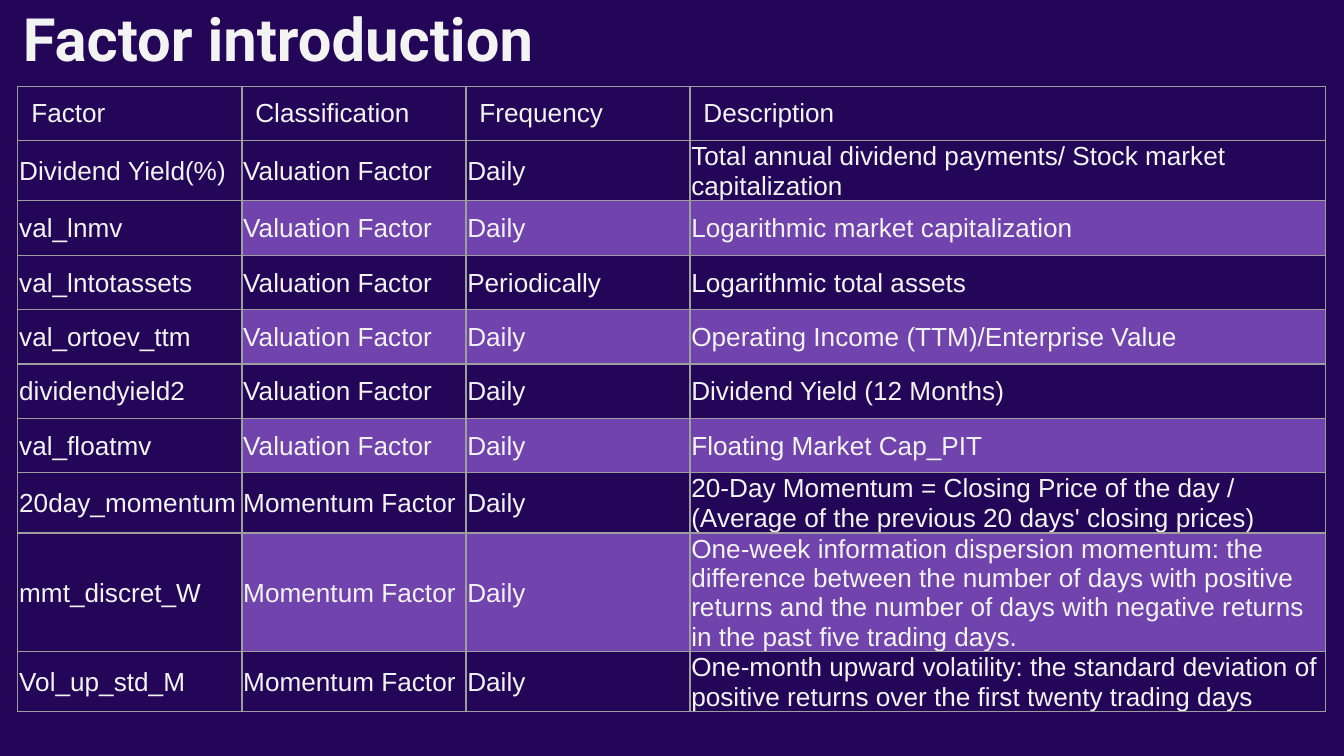
from typing import NamedTuple, Optional

from lxml import etree
from pptx import Presentation
from pptx.dml.color import RGBColor
from pptx.enum.text import MSO_ANCHOR
from pptx.oxml.ns import qn
from pptx.util import Inches, Pt

TOP = MSO_ANCHOR.TOP
MIDDLE = MSO_ANCHOR.MIDDLE

NAVY = RGBColor(0x24, 0x06, 0x59)
PURPLE = RGBColor(0x70, 0x43, 0xAD)
GREY = RGBColor(0x9E, 0x9E, 0x9E)
WHITE = RGBColor(0xF3, 0xF3, 0xF3)

WIDTH = Inches(10)
HEIGHT = WIDTH * 9 // 16
COLUMN_SHARES = (16.67, 16.67, 16.67, 47.3)
ROW_SHARE = 7.2
BORDER = Pt(0.75)


class Factor(NamedTuple):
    name: str
    classification: str
    frequency: str
    description: str


class Insets(NamedTuple):
    left: float
    top: float
    right: float
    bottom: float


HEADER_INSETS = Insets(0.1, 0.07, 0.1, 0.07)
BODY_INSETS = Insets(0.01, 0.01, 0.01, 0)

HEADER = Factor("Factor", "Classification", "Frequency", "Description")
VALUATION = "Valuation Factor"
MOMENTUM = "Momentum Factor"
FACTORS = [
    Factor("Dividend Yield(%)", VALUATION, "Daily",
           "Total annual dividend payments/ Stock market capitalization"),
    Factor("val_lnmv", VALUATION, "Daily", "Logarithmic market capitalization"),
    Factor("val_lntotassets", VALUATION, "Periodically", "Logarithmic total assets"),
    Factor("val_ortoev_ttm", VALUATION, "Daily",
           "Operating Income (TTM)/Enterprise Value"),
    Factor("dividendyield2", VALUATION, "Daily", "Dividend Yield (12 Months)"),
    Factor("val_floatmv", VALUATION, "Daily", "Floating Market Cap_PIT"),
    Factor("20day_momentum", MOMENTUM, "Daily",
           "20-Day Momentum = Closing Price of the day / "
           "(Average of the previous 20 days' closing prices)"),
    Factor("mmt_discret_W", MOMENTUM, "Daily",
           "One-week information dispersion momentum: the difference between "
           "the number of days with positive returns and the number of days "
           "with negative returns in the past five trading days."),
    Factor("Vol_up_std_M", MOMENTUM, "Daily",
           "One-month upward volatility: the standard deviation of positive "
           "returns over the first twenty trading days"),
]


def across(share: float) -> int:
    return int(WIDTH * share / 100)


def down(share: float) -> int:
    return int(HEIGHT * share / 100)


def write(holder, text: str, *, size: float, font: str = "Arial",
          bold: bool = False, anchor=TOP, insets: Insets) -> None:
    holder.vertical_anchor = anchor
    holder.margin_left = Inches(insets.left)
    holder.margin_top = Inches(insets.top)
    holder.margin_right = Inches(insets.right)
    holder.margin_bottom = Inches(insets.bottom)
    tf = getattr(holder, "text_frame", holder)
    tf.word_wrap = True
    r = tf.paragraphs[0].add_run()
    r.text = text
    r.font.name = font
    r.font.size = Pt(size)
    r.font.bold = bold
    r.font.color.rgb = WHITE


def add_borders(cell) -> None:
    tc_pr = cell._tc.get_or_add_tcPr()
    for i, side in enumerate(("lnL", "lnR", "lnT", "lnB")):
        ln = etree.Element(qn(f"a:{side}"), w=str(int(BORDER)))
        fill = etree.SubElement(ln, qn("a:solidFill"))
        etree.SubElement(fill, qn("a:srgbClr"), val=str(GREY))
        tc_pr.insert(i, ln)


def fill_cell(cell, text: str, insets: Insets, color: Optional[RGBColor]) -> None:
    write(cell, text, size=14, anchor=MIDDLE, insets=insets)
    if color is None:
        cell.fill.background()
    else:
        cell.fill.solid()
        cell.fill.fore_color.rgb = color
    add_borders(cell)


def add_factor_table(s, rows: list[Factor]) -> None:
    table = s.shapes.add_table(
        len(rows), len(COLUMN_SHARES), across(1.33), down(11.42),
        across(sum(COLUMN_SHARES)), down(ROW_SHARE * len(rows))).table
    table.first_row = False
    table.horz_banding = False
    for column, share in zip(table.columns, COLUMN_SHARES):
        column.width = across(share)
    for i, row in enumerate(rows):
        table.rows[i].height = down(ROW_SHARE)
        insets = BODY_INSETS if i else HEADER_INSETS
        for j, text in enumerate(row):
            banded = i > 0 and i % 2 == 0 and j > 0
            fill_cell(table.cell(i, j), text, insets, PURPLE if banded else None)


def add_title(s, text: str) -> None:
    sp = s.shapes.add_textbox(across(0.72), down(-1.6), across(84.3), down(11.2))
    write(sp.text_frame, text, size=32, font="Roboto", bold=True,
          insets=Insets(0.1, 0.1, 0.1, 0.1))


def main() -> None:
    prs = Presentation()
    prs.slide_width = WIDTH
    prs.slide_height = HEIGHT
    s = prs.slides.add_slide(prs.slide_layouts[6])
    s.background.fill.solid()
    s.background.fill.fore_color.rgb = NAVY
    add_factor_table(s, [HEADER, *FACTORS])
    add_title(s, "Factor introduction")
    prs.save("out.pptx")


if __name__ == "__main__":
    main()
